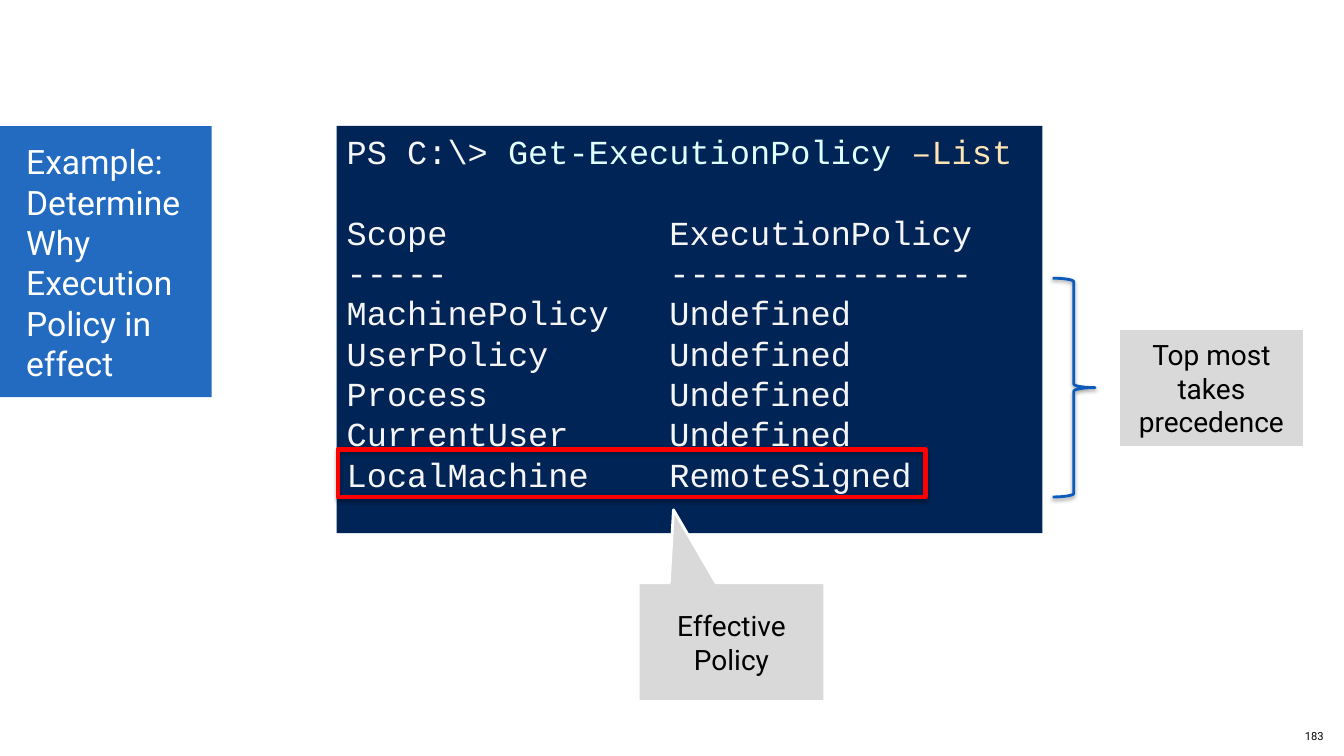
"""Build the slide on finding out why an execution policy is in effect."""
from lxml import etree
from pptx import Presentation
from pptx.dml.color import RGBColor
from pptx.enum.shapes import MSO_SHAPE
from pptx.enum.text import MSO_ANCHOR, PP_ALIGN
from pptx.oxml import parse_xml
from pptx.oxml.ns import qn
from pptx.util import Inches, Pt

RECT = MSO_SHAPE.RECTANGLE
BRACE = MSO_SHAPE.LEFT_BRACE
CALL = MSO_SHAPE.RECTANGULAR_CALLOUT
TOP, MID = MSO_ANCHOR.TOP, MSO_ANCHOR.MIDDLE
LEFT, MIDST, RIGHT = PP_ALIGN.LEFT, PP_ALIGN.CENTER, PP_ALIGN.RIGHT
NS = "http://schemas.openxmlformats.org/drawingml/2006/main"
BLUE, NAVY, GREY, WHITE, RED = "0A5BBA", "012456", "D9D9D9", "FFFFFF", "FF0000"
SMOKE, CYAN, SAND, BLACK = "F5F5F5", "E0FFFF", "FFE4B5", "000000"


def color(text):
    return RGBColor.from_string(text)


def write(shape, paras, size, face, align, anchor, pads):
    frame = shape.text_frame
    frame.word_wrap = True
    frame.vertical_anchor = anchor
    sides = ("left", "top", "right", "bottom")
    for side, pad in zip(sides, pads):
        setattr(frame, "margin_" + side, Inches(pad))
    for i, runs in enumerate(paras):
        para = frame.paragraphs[0] if i == 0 else frame.add_paragraph()
        para.alignment = align
        for words, tint in runs:
            run = para.add_run()
            run.text = words
            style = {"size": Pt(size), "name": face}
            for key, value in style.items():
                setattr(run.font, key, value)
            run.font.color.rgb = color(tint)
    return frame


prs = Presentation()
prs.slide_width, prs.slide_height = Inches(13.33), Inches(7.5)
slide = prs.slides.add_slide(prs.slide_layouts[6])

parts = {
    "title": (RECT, (0, 1.25, 2.1, 2.69), BLUE, None, 0),
    "console": (RECT, (3.34, 1.25, 7.0, 4.04), NAVY, None, 0),
    "frame": (RECT, (3.35, 4.46, 5.83, 0.47), None, RED, 3),
    "brace": (BRACE, (10.44, 2.76, 0.42, 2.17), None, BLUE, 2),
    "order": (RECT, (11.09, 3.26, 1.85, 1.18), GREY, WHITE, 2),
    "policy": (CALL, (6.33, 5.78, 1.85, 1.18), GREY, WHITE, 2),
}
shapes = {}
for name, (kind, box, fill, line, width) in parts.items():
    shape = slide.shapes.add_shape(kind, *map(Inches, box))
    shape.shadow.inherit = False
    if fill:
        shape.fill.solid()
        shape.fill.fore_color.rgb = color(fill)
    else:
        shape.fill.background()
    if line:
        shape.line.color.rgb = color(line)
        shape.line.width = Pt(width)
    else:
        shape.line.fill.background()
    shapes[name] = shape

shapes["brace"].rotation = 180
shapes["policy"].adjustments[0] = -0.311
shapes["policy"].adjustments[1] = -1.112
tint = shapes["title"].fill._xPr.find(qn("a:solidFill"))[0]
etree.SubElement(tint, qn("a:alpha"), val="90000")

for name, blur, dist, alpha in (("frame", 3.1, 1.8, 35), ("brace", 3.1, 1.6, 38)):
    effects = shapes[name]._element.spPr.find(qn("a:effectLst"))
    effects.append(parse_xml(
        f'<a:outerShdw xmlns:a="{NS}" blurRad="{Pt(blur)}" dist="{Pt(dist)}" '
        f'dir="5400000" rotWithShape="0"><a:srgbClr val="{BLACK}">'
        f'<a:alpha val="{alpha * 1000}"/></a:srgbClr></a:outerShdw>'))

lines = ("Example:", "Determine Why Execution Policy in effect")
title = write(shapes["title"], [[(text, WHITE)] for text in lines],
              24, "Roboto", LEFT, TOP, (0.2, 0.15, 0.1, 0.05))
for para in title.paragraphs:
    props = para._p.get_or_add_pPr()
    props.set("marL", str(Inches(0.06)))
    props.set("indent", "0")

rows = (
    ("Scope", "ExecutionPolicy"),
    ("-----", "---------------"),
    ("MachinePolicy", "Undefined"),
    ("UserPolicy", "Undefined"),
    ("Process", "Undefined"),
    ("CurrentUser", "Undefined"),
    ("LocalMachine", "RemoteSigned"),
)
prompt = [("PS C:\\> ", SMOKE), ("Get-ExecutionPolicy ", CYAN), ("–List", SAND)]
output = [[(scope.ljust(16) + value, SMOKE)] for scope, value in rows]
pads = (0.1, 0.05, 0.1, 0.05)
console = write(shapes["console"], [prompt] + output,
                24, "Courier New", LEFT, TOP, pads)
console.paragraphs[1].space_before = Pt(28.8)

labels = {"order": "Top most takes precedence", "policy": "Effective Policy"}
for name, text in labels.items():
    write(shapes[name], [[(text, BLACK)]], 20, "Roboto", MIDST, MID, pads)

number = slide.shapes.add_textbox(*map(Inches, (10.22, 7.1, 3.11, 0.4)))
write(number, [[("183", BLACK)]], 8, "Roboto", RIGHT, MID, (0.2, 0.05, 0.2, 0.05))

prs.save("out.pptx")
